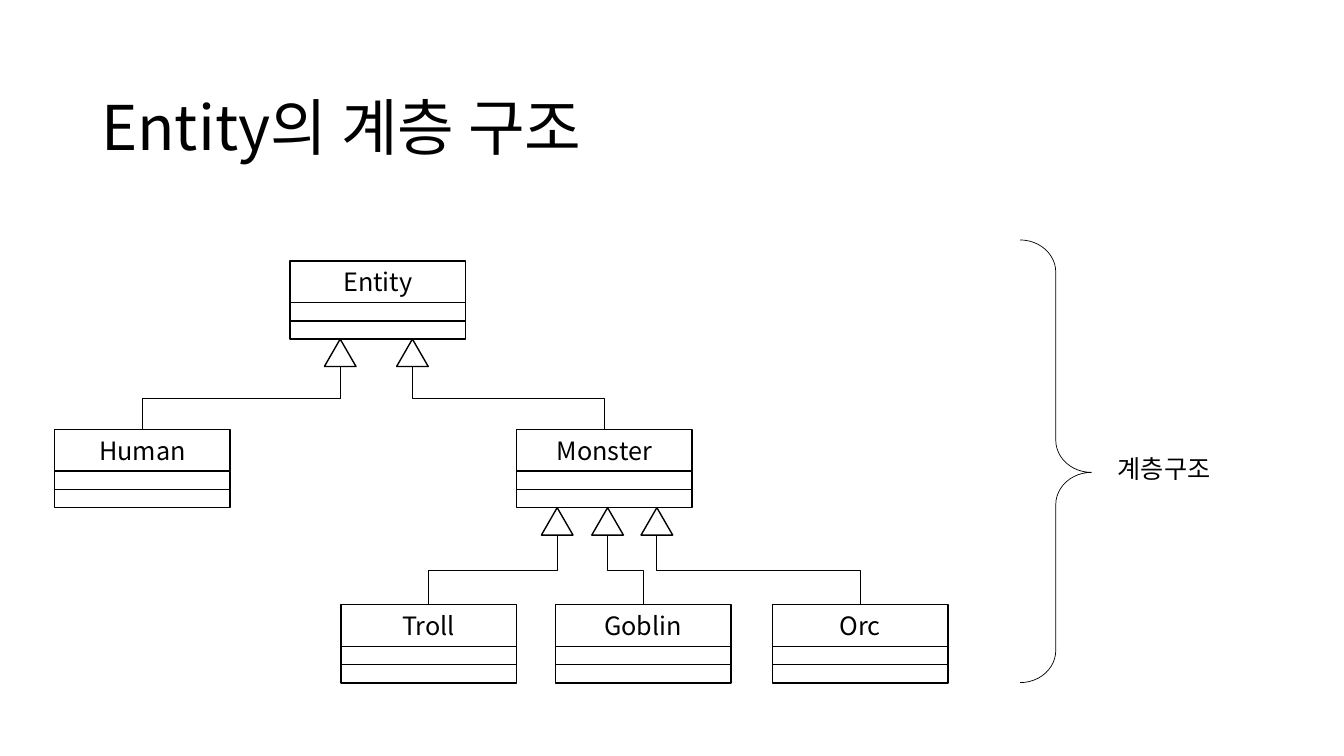
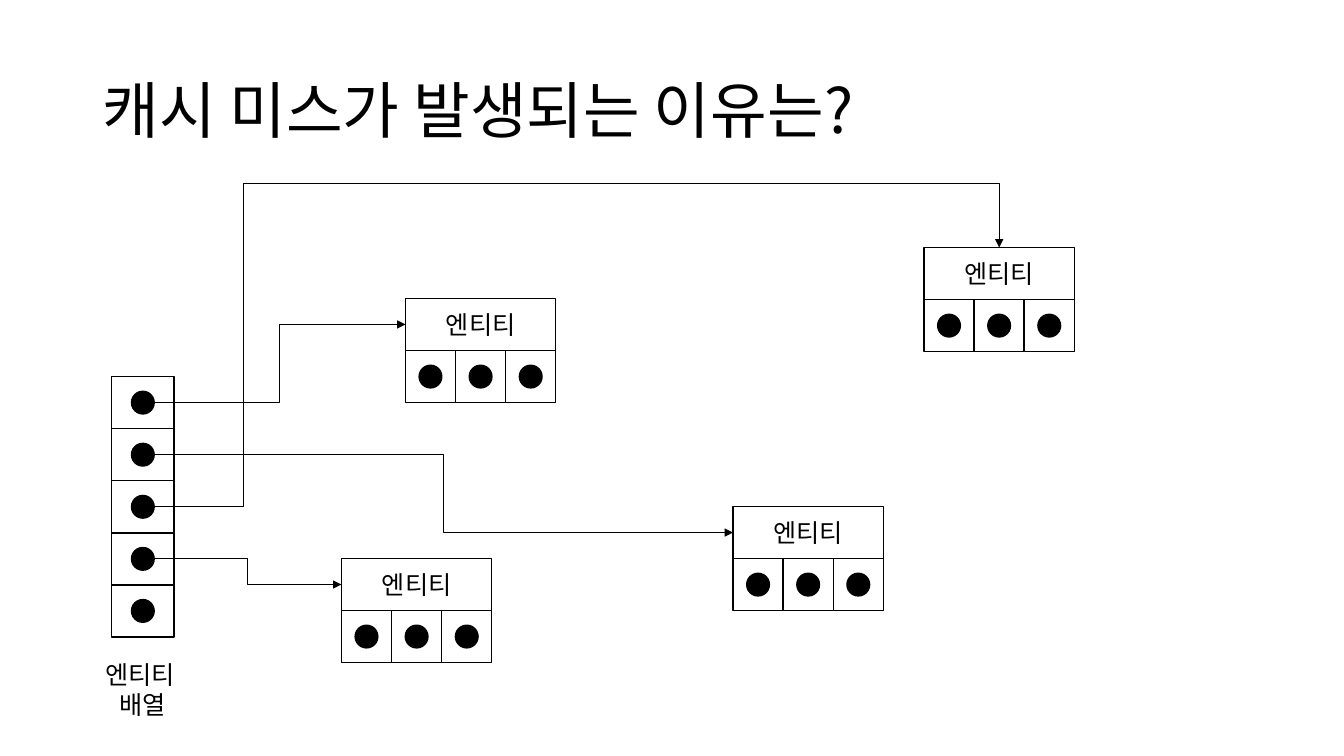
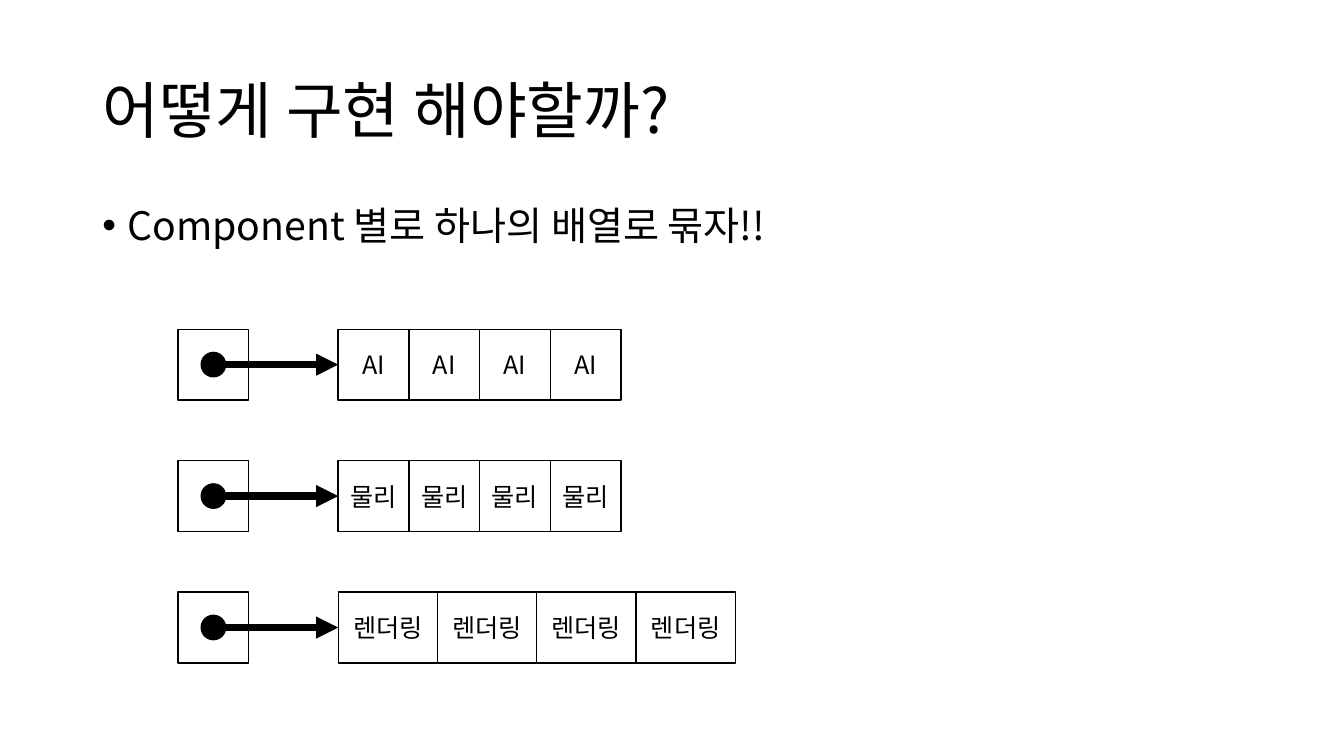
from lxml import etree
from pptx import Presentation
from pptx.dml.color import RGBColor
from pptx.enum import shapes, text
from pptx.oxml.ns import qn
from pptx.util import Pt

FONT = "Noto Sans CJK KR"
BLACK, WHITE = "000000", "FFFFFF"
TITLE_ONLY, TITLE_BODY = 5, 1
KIND = shapes.MSO_SHAPE
WIRE = shapes.MSO_CONNECTOR

# Connection sites: share of width, share of height, site number
TOP, LEFT = (0.5, 0, 0), (0, 0.5, 1)
BASE = (0.5, 1, 3)
DOT_RIGHT = (1, 0.5, 6)


def color(value):
    """Turn a hex string into a colour."""
    return RGBColor.from_string(value)


def add_run(p, words, size=18):
    """Add one run in the deck's font."""
    r = p.add_run()
    r.text = words
    r.font.size = Pt(size)
    r.font.name = FONT
    r.font.color.rgb = color(BLACK)
    etree.SubElement(r.font._element, qn("a:ea"), typeface=FONT)


def place(s, x, y, w, h):
    """Move a shape to a box given in points."""
    s.left, s.top, s.width, s.height = Pt(x), Pt(y), Pt(w), Pt(h)


def add_slide(prs, layout, title, x, y):
    """Add a slide with its title."""
    slide = prs.slides.add_slide(prs.slide_layouts[layout])
    s = slide.shapes.title
    place(s, x, y, 828, 104.4)
    tf = s.text_frame
    tf.auto_size = text.MSO_AUTO_SIZE.NONE
    tf.vertical_anchor = text.MSO_ANCHOR.MIDDLE
    p = tf.paragraphs[0]
    p.alignment = text.PP_ALIGN.LEFT
    p.line_spacing = 0.9
    add_run(p, title, 44)
    return slide


def add_bullet(slide, words, x, y, w, h):
    """Fill the body placeholder with one bullet."""
    s = slide.placeholders[1]
    place(s, x, y, w, h)
    tf = s.text_frame
    tf.auto_size = text.MSO_AUTO_SIZE.NONE
    p = tf.paragraphs[0]
    p.line_spacing = 0.9
    p.space_before = Pt(10)
    pPr = p._p.get_or_add_pPr()
    pPr.set("marL", str(Pt(18)))
    pPr.set("indent", str(Pt(-18)))
    add_run(p, words, 28)


def add_label(slide, lines, x, y, w, h, align):
    """Add free text, one paragraph a line."""
    tf = slide.shapes.add_textbox(Pt(x), Pt(y), Pt(w), Pt(h)).text_frame
    tf.word_wrap = True
    tf.auto_size = text.MSO_AUTO_SIZE.SHAPE_TO_FIT_TEXT
    for i, line in enumerate(lines):
        p = tf.add_paragraph() if i else tf.paragraphs[0]
        p.alignment = align
        add_run(p, line)


def add_shape(slide, kind, x, y, w, h, fill=WHITE, words=""):
    """Add an outlined shape with centred words."""
    s = slide.shapes.add_shape(kind, Pt(x), Pt(y), Pt(w), Pt(h))
    s.shadow.inherit = False
    s.fill.solid()
    s.fill.fore_color.rgb = color(fill)
    s.line.color.rgb = color(BLACK)
    s.line.width = Pt(1)
    if words:
        tf = s.text_frame
        tf.margin_left = tf.margin_right = Pt(0)
        tf.vertical_anchor = text.MSO_ANCHOR.MIDDLE
        p = tf.paragraphs[0]
        p.alignment = text.PP_ALIGN.CENTER
        add_run(p, words)
    return s


def site_point(s, site):
    """Give a connection site's position in points."""
    return s.left.pt + site[0] * s.width.pt, s.top.pt + site[1] * s.height.pt


def connect(slide, start, start_site, end, end_site,
            kind=WIRE.ELBOW, width=0.5, arrow=True, down=False):
    """Join two shapes; down makes an elbow leave vertically."""
    x1, y1 = site_point(start, start_site)
    x2, y2 = site_point(end, end_site)
    turn = 0
    if down:
        turn = 90 if x2 < x1 else 270
        cx, cy = (x1 + x2) / 2, (y1 + y2) / 2
        dx, dy = abs(y2 - y1) / 2, abs(x2 - x1) / 2
        if turn == 270:
            dx = -dx
        x1, y1, x2, y2 = cx - dx, cy - dy, cx + dx, cy + dy
    c = slide.shapes.add_connector(kind, Pt(x1), Pt(y1), Pt(x2), Pt(y2))
    c.line.color.rgb = color(BLACK)
    c.line.width = Pt(width)
    ends = c._element.nvCxnSpPr.cNvCxnSpPr
    for tag, s, site in (("a:stCxn", start, start_site), ("a:endCxn", end, end_site)):
        etree.SubElement(ends, qn(tag), id=str(s.shape_id), idx=str(site[2]))
    spPr = c._element.spPr
    if turn:
        spPr.find(qn("a:xfrm")).set("rot", str(turn * 60000))
    if arrow:
        etree.SubElement(spPr.find(qn("a:ln")), qn("a:tailEnd"), type="triangle")
    etree.SubElement(spPr, qn("a:effectLst"))
    return c


def route_over(c, *shares):
    """Give an elbow a third bend, at the given shares of its box."""
    geom = c._element.spPr.find(qn("a:prstGeom"))
    geom.set("prst", "bentConnector4")
    guides = geom.find(qn("a:avLst"))
    if guides is None:
        guides = etree.SubElement(geom, qn("a:avLst"))
    for i, share in enumerate(shares, 1):
        etree.SubElement(guides, qn("a:gd"), name=f"adj{i}",
                         fmla=f"val {round(share * 100000)}")


def class_box(slide, name, x, y, w=125.4, head=29.8, row=13):
    """Draw a class with two empty rows; return its head and its bottom."""
    top = add_shape(slide, KIND.RECTANGLE, x, y, w, head, words=name)
    for i in range(2):
        add_shape(slide, KIND.RECTANGLE, x, y + head + i * row, w, row)
    return top, y + head + 2 * row


def inherit(slide, x, y, child, w=22.6, h=19.6):
    """Hang a child class from a triangle whose tip is at x, y."""
    tip = add_shape(slide, KIND.ISOSCELES_TRIANGLE, x - w / 2, y, w, h)
    connect(slide, tip, BASE, child, TOP, arrow=False, down=True)


def dot_cell(slide, x, y, w, h, size):
    """Draw a cell with a dot in its middle; return the dot."""
    add_shape(slide, KIND.RECTANGLE, x, y, w, h)
    return add_shape(slide, KIND.OVAL, x + (w - size) / 2, y + (h - size) / 2,
                     size, size, fill=BLACK)


def entity_box(slide, x, y, cell=35.8, h=37.2):
    """Draw an entity with three pointers; return its head."""
    head = add_shape(slide, KIND.RECTANGLE, x, y, 3 * cell, h, words="엔티티")
    for i in range(3):
        dot_cell(slide, x + i * cell, y + h, cell, h, 16.2)
    return head


def component_row(slide, name, x, y, cell_w, size=50.5):
    """Draw a pointer and the array of four components it leads to."""
    dot = dot_cell(slide, x, y, size, size, 17.4)
    cells = [add_shape(slide, KIND.RECTANGLE, x + 114.4 + i * cell_w, y,
                       cell_w, size, words=name) for i in range(4)]
    connect(slide, dot, DOT_RIGHT, cells[0], LEFT, WIRE.STRAIGHT, 5.25)


def hierarchy_slide(prs):
    """Class tree with a brace."""
    slide = add_slide(prs, TITLE_ONLY, "Entity의 계층 구조", 65, 41)
    entity_bottom = class_box(slide, "Entity", 207.2, 186.4)[1]
    human = class_box(slide, "Human", 39, 306.8)[0]
    monster, monster_bottom = class_box(slide, "Monster", 369, 306.8)
    for x, child in ((243, human), (294.6, monster)):
        inherit(slide, x, entity_bottom, child)
    kinds = (("Troll", 243.5, 398), ("Goblin", 396.7, 434), ("Orc", 551.8, 469.2))
    for name, x, tip_x in kinds:
        child = class_box(slide, name, x, 432)[0]
        inherit(slide, tip_x, monster_bottom, child)
    brace = add_shape(slide, KIND.LEFT_BRACE, 728.6, 171.4, 51, 316.2)
    brace.fill.background()
    brace.line.width = Pt(0.5)
    brace.rotation = 180
    brace.adjustments[0], brace.adjustments[1] = 0.451, 0.475
    add_label(slide, ["계층구조"], 791.3, 320.4, 101, 29, text.PP_ALIGN.LEFT)


def cache_miss_slide(prs):
    """Array of pointers to scattered entities."""
    slide = add_slide(prs, TITLE_ONLY, "캐시 미스가 발생되는 이유는?", 66, 28.8)
    x, y, h = 79.7, 269, 37.2
    dots = [dot_cell(slide, x, y + i * h, 44.7, h, 16.2) for i in range(5)]
    add_label(slide, ["엔티티 ", "배열"], 63.4, 467.3, 77, 50, text.PP_ALIGN.CENTER)
    targets = ((289.6, 213.2, LEFT), (523.6, 361.8, LEFT),
               (660, 176.8, TOP), (243.9, 398.9, LEFT))
    for dot, (left, top, site) in zip(dots, targets):
        c = connect(slide, dot, DOT_RIGHT, entity_box(slide, left, top), site)
        if site is TOP:
            route_over(c, 0.106, 1.247)


def component_slide(prs):
    """One array for each kind of component."""
    slide = add_slide(prs, TITLE_BODY, "어떻게 구현 해야할까? ", 66, 28.8)
    add_bullet(slide, "Component 별로 하나의 배열로 묶자!!", 66, 144, 828, 342.6)
    rows = (("AI", 50.5), ("물리", 50.5), ("렌더링", 70.9))
    for i, (name, cell_w) in enumerate(rows):
        component_row(slide, name, 127.2, 235.2 + i * 93.9, cell_w)


prs = Presentation()
prs.slide_width, prs.slide_height = Pt(960), Pt(540)
hierarchy_slide(prs)
cache_miss_slide(prs)
component_slide(prs)
prs.save("out.pptx")
